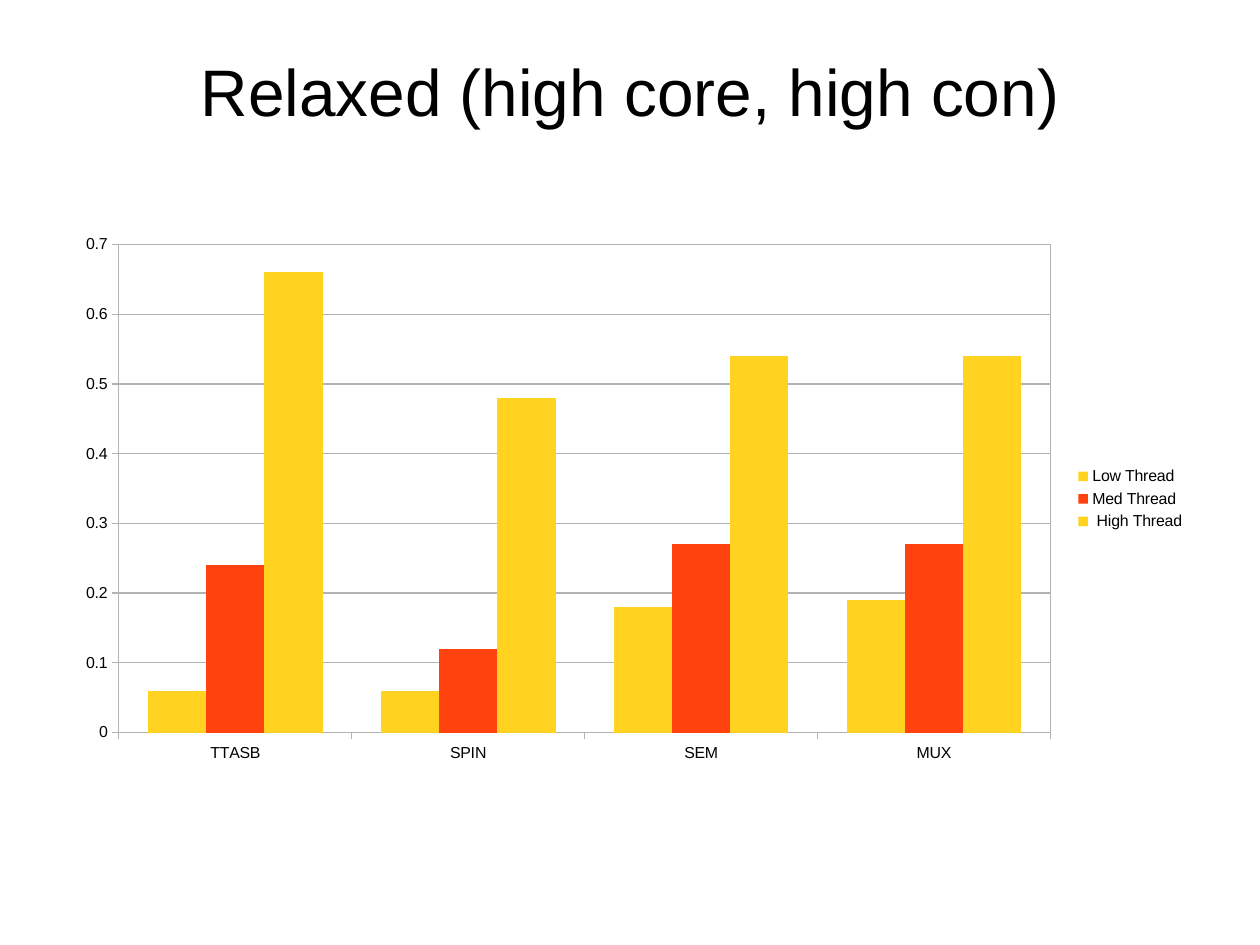
from lxml import etree
from pptx import Presentation
from pptx.chart.data import CategoryChartData
from pptx.dml.color import RGBColor
from pptx.enum.chart import XL_CHART_TYPE, XL_LEGEND_POSITION, XL_TICK_MARK
from pptx.enum.text import MSO_ANCHOR, PP_ALIGN
from pptx.oxml import parse_xml
from pptx.oxml.ns import nsdecls, qn
from pptx.util import Inches, Pt

COLUMNS = XL_CHART_TYPE.COLUMN_CLUSTERED
LEGEND_RIGHT = XL_LEGEND_POSITION.RIGHT
TICK_OUTSIDE, TICK_NONE = XL_TICK_MARK.OUTSIDE, XL_TICK_MARK.NONE
MIDDLE, CENTER = MSO_ANCHOR.MIDDLE, PP_ALIGN.CENTER

COLORS = {"text": "000000", "line": "B3B3B3", "yellow": "FFD320", "red": "FF420E"}
FONT = "Arial"
CM_PER_INCH = 2.54
CATEGORIES = ["TTASB", "SPIN", "SEM", "MUX"]
SERIES = [
    ("Low Thread", [0.06, 0.06, 0.18, 0.19], "yellow"),
    ("Med Thread", [0.24, 0.12, 0.27, 0.27], "red"),
    (" High Thread", [0.66, 0.48, 0.54, 0.54], "yellow"),
]
# Inner plot area inside the chart: left, top, width, height
PLOT_BOX = (Inches(0.49), Inches(0.17), Inches(8.15), Inches(4.27))


def rgb(name):
    return RGBColor.from_string(COLORS[name])


def style_font(font, size):
    for key, value in {"name": FONT, "size": Pt(size), "bold": False}.items():
        setattr(font, key, value)
    font.color.rgb = rgb("text")


def style_line(line):
    line.color.rgb = rgb("line")
    line.width = Pt(0)


def add_title(page, box, text):
    frame = page.shapes.add_textbox(*box).text_frame
    settings = {"word_wrap": True, "vertical_anchor": MIDDLE, "margin_left": 0,
                "margin_right": 0, "margin_top": 0, "margin_bottom": 0}
    for key, value in settings.items():
        setattr(frame, key, value)
    para = frame.paragraphs[0]
    para.alignment = CENTER
    span = para.add_run()
    span.text = text
    style_font(span.font, 41.4)


def frame_plot_area(chart, width, height):
    """Fix the inner plot area and give it a thin border."""
    area = chart.plots[0]._element.getparent()
    for old in area.findall(qn("c:layout")):
        area.remove(old)
    layout = parse_xml(f"<c:layout {nsdecls('c')}><c:manualLayout/></c:layout>")
    values = {"layoutTarget": "inner", "xMode": "edge", "yMode": "edge"}
    for key, part, whole in zip("xywh", PLOT_BOX, (width, height) * 2):
        values[key] = part / whole
    for key, value in values.items():
        etree.SubElement(layout[0], qn(f"c:{key}")).set("val", str(value))
    area.insert(0, layout)
    area.append(parse_xml(
        f"<c:spPr {nsdecls('c', 'a')}><a:noFill/><a:ln w='0'><a:solidFill>"
        f"<a:srgbClr val='{COLORS['line']}'/></a:solidFill></a:ln></c:spPr>"))


def add_thread_chart(page, box):
    data = CategoryChartData(number_format="General")
    data.categories = CATEGORIES
    for name, values, _ in SERIES:
        data.add_series(name, values)
    chart = page.shapes.add_chart(COLUMNS, *box, data).chart
    chart.has_title = False
    style_font(chart.font, 10)

    # Columns
    plot = chart.plots[0]
    plot.vary_by_categories = False
    plot.gap_width, plot.overlap = 100, 0
    for series, (_, _, color) in zip(plot.series, SERIES):
        series.format.fill.solid()
        series.format.fill.fore_color.rgb = rgb(color)
        series.format.line.fill.background()

    # Axes
    for axis in (chart.category_axis, chart.value_axis):
        axis.major_tick_mark, axis.minor_tick_mark = TICK_OUTSIDE, TICK_NONE
        style_font(axis.tick_labels.font, 10)
        style_line(axis.format.line)
    scale = {"minimum_scale": 0, "maximum_scale": 0.7, "major_unit": 0.1}
    for key, value in scale.items():
        setattr(chart.value_axis, key, value)
    style_line(chart.value_axis.major_gridlines.format.line)

    # Legend
    chart.has_legend = True
    chart.legend.position = LEGEND_RIGHT
    chart.legend.include_in_layout = False
    style_font(chart.legend.font, 10)
    frame_plot_area(chart, *box[2:])


def main():
    deck = Presentation()
    # Page of 28 by 21 cm
    deck.slide_width = Inches(28 / CM_PER_INCH)
    deck.slide_height = Inches(21 / CM_PER_INCH)
    page = deck.slides.add_slide(deck.slide_layouts[6])
    left, width = Inches(0.55), Inches(9.92)
    add_title(page, (left, Inches(0.31), width, Inches(0.95)),
              "Relaxed (high core, high con)")
    add_thread_chart(page, (left, Inches(1.97), width, Inches(4.79)))
    deck.save("out.pptx")


if __name__ == "__main__":
    main()
